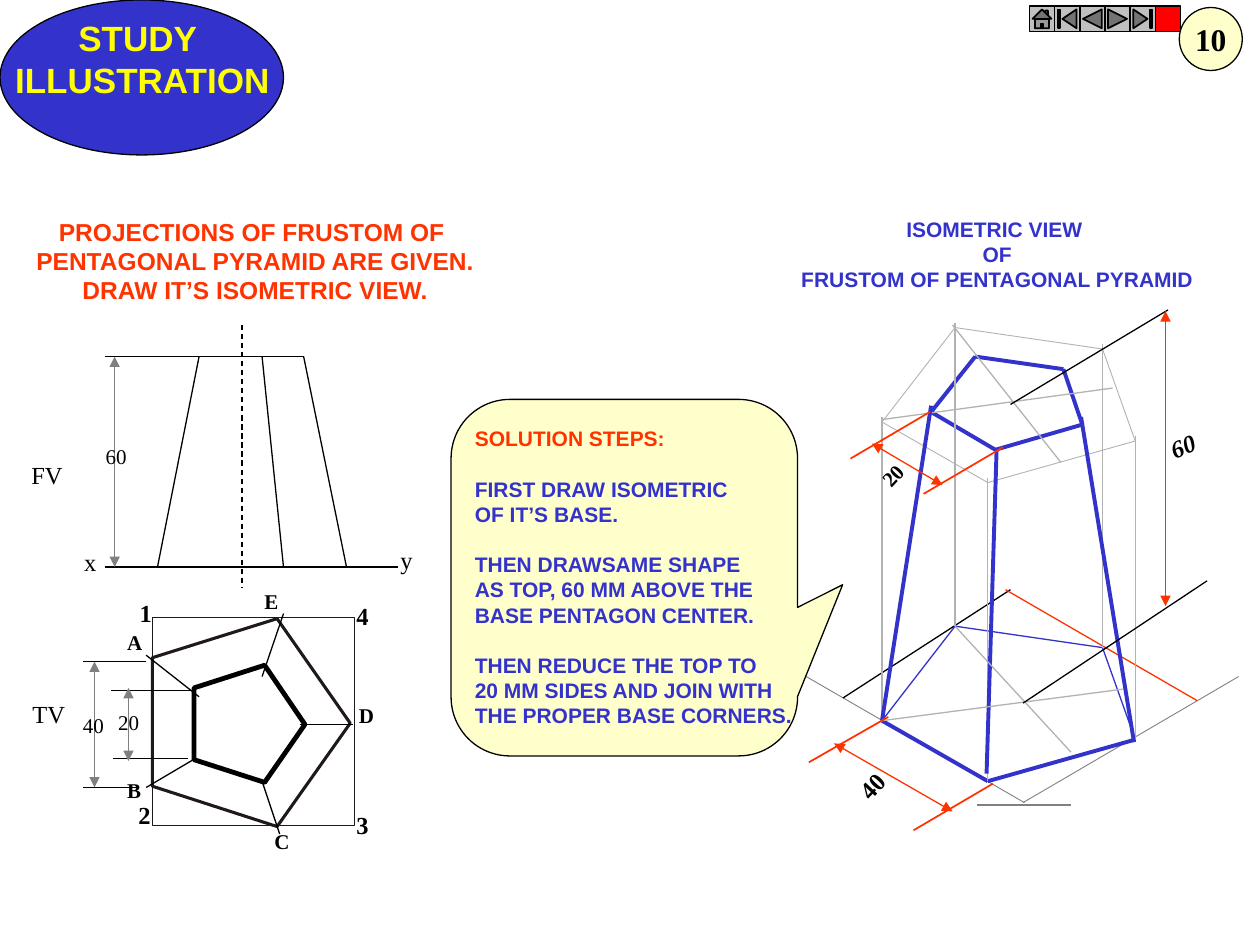
from lxml import etree
from pptx import Presentation
from pptx.dml.color import RGBColor
from pptx.enum.dml import MSO_LINE
from pptx.enum.shapes import MSO_CONNECTOR, MSO_SHAPE
from pptx.enum.text import MSO_ANCHOR, MSO_AUTO_SIZE, PP_ALIGN
from pptx.oxml.ns import qn
from pptx.util import Inches, Pt

BLUE = RGBColor(0x33, 0x33, 0xCC)
ORANGE = RGBColor(0xFF, 0x33, 0x00)
RED = RGBColor(0xFF, 0x00, 0x00)
YELLOW = RGBColor(0xFF, 0xFF, 0x00)
CREAM = RGBColor(0xFF, 0xFF, 0xCC)
BLACK = RGBColor(0x00, 0x00, 0x00)
INK = RGBColor(0x1F, 0x1A, 0x17)
GRAY = RGBColor(0x80, 0x80, 0x80)
SILVER = RGBColor(0xC0, 0xC0, 0xC0)
PALE = RGBColor(0xB2, 0xB2, 0xB2)
STRAIGHT = MSO_CONNECTOR.STRAIGHT
OVAL = MSO_SHAPE.OVAL
RECTANGLE = MSO_SHAPE.RECTANGLE
CALLOUT = MSO_SHAPE.ROUNDED_RECTANGULAR_CALLOUT
HOME = MSO_SHAPE.ACTION_BUTTON_HOME
BEGINNING = MSO_SHAPE.ACTION_BUTTON_BEGINNING
PREVIOUS = MSO_SHAPE.ACTION_BUTTON_BACK_OR_PREVIOUS
NEXT = MSO_SHAPE.ACTION_BUTTON_FORWARD_OR_NEXT
END = MSO_SHAPE.ACTION_BUTTON_END
BLANK = MSO_SHAPE.ACTION_BUTTON_CUSTOM
CENTER, LEFT = PP_ALIGN.CENTER, PP_ALIGN.LEFT
TOP, MIDDLE = MSO_ANCHOR.TOP, MSO_ANCHOR.MIDDLE
NO_FIT = MSO_AUTO_SIZE.NONE
DASH = MSO_LINE.DASH
SANS, SERIF = "Arial", "Times New Roman"

prs = Presentation()
prs.slide_width, prs.slide_height = Inches(10), Inches(7.5)
s = prs.slides.add_slide(prs.slide_layouts[5])


def add_line(x1, y1, x2, y2, color=BLACK, width=0.75, arrows=False):
    c = s.shapes.add_connector(STRAIGHT, Inches(x1), Inches(y1), Inches(x2), Inches(y2))
    c.line.color.rgb = color
    c.line.width = Pt(width)
    etree.SubElement(c._element.spPr, qn("a:effectLst"))
    if arrows:
        for end in ("a:headEnd", "a:tailEnd"):
            etree.SubElement(c.line._get_or_add_ln(), qn(end), type="triangle")
    return c


def write(sp, lines, size, font, color, bold=True, align=LEFT, wrap=False, anchor=TOP, gaps=()):
    tf = sp.text_frame
    tf.word_wrap, tf.auto_size, tf.vertical_anchor = wrap, NO_FIT, anchor
    tf.margin_left = tf.margin_right = Inches(0.1)
    tf.margin_top = tf.margin_bottom = Inches(0.05)
    for i, line in enumerate(lines):
        p = tf.paragraphs[0] if i == 0 else tf.add_paragraph()
        p.alignment = align
        p.line_spacing = Pt(1.2 * size)
        p.space_before = Pt(1.2 * size if i in gaps else 0)
        for j, part in enumerate(line.split("\n")):
            if j:
                p.add_line_break()
            r = p.add_run()
            r.text = part
            r.font.name, r.font.size, r.font.bold = font, Pt(size), bold
            r.font.color.rgb = color
    return tf


sp = s.shapes.add_textbox(Inches(6.25), Inches(1.67), Inches(3.33), Inches(0.7))
write(sp, ["ISOMETRIC VIEW ", "OF", "FRUSTOM OF PENTAGONAL PYRAMID"], 12, SANS, BLUE, align=CENTER)

for axis in [(8.12, 6.37, 9.83, 5.37), (8.13, 6.37, 6.33, 5.33)]:
    add_line(*axis, GRAY, 0.5)
add_line(7.75, 6.39, 8.5, 6.39, GRAY)
add_line(6.69, 5.54, 8.02, 4.68)
add_line(7.98, 4.68, 9.5, 5.56, ORANGE)

base = [(7, 5.72), (7.84, 6.2), (9.01, 5.87), (8.75, 5.14), (7.58, 4.97)]
top = [(7.39, 3.27), (7.9, 3.57), (8.59, 3.37), (8.44, 2.93), (7.74, 2.83)]
sides = list(zip(base, base[1:] + base[:1]))
for i, (a, b) in enumerate(sides):
    add_line(*a, *b, BLUE, 2.25 if i < 2 else 0.75)
for a, b in zip(top, top[1:] + top[:1]):
    add_line(*a, *b, BLUE, 2.25)
for x, y in base:
    add_line(x, y, x, y - 2.41, PALE)
for (x1, y1), (x2, y2) in sides:
    add_line(x1, y1 - 2.37, x2, y2 - 2.37, PALE, 0.5)
for diagonal in [(7, 3.33, 8.83, 3.08), (7.56, 2.58, 8.42, 3.67)]:
    add_line(*diagonal, PALE)
for edge in [(7.39, 3.22, 7, 5.72), (7.91, 3.56, 7.83, 6.14), (8.58, 3.31, 9, 5.89)]:
    add_line(*edge, BLUE, 2.25)
for diagonal in [(7, 5.72, 8.91, 5.47), (7.58, 4.97, 8.5, 5.97)]:
    add_line(*diagonal, PALE)

for extension in [(7.25, 6.59, 7.88, 6.22), (6.42, 6.05, 7.05, 5.69),
                  (7.33, 3.92, 7.96, 3.55), (6.75, 3.64, 7.38, 3.27)]:
    add_line(*extension, ORANGE, 1)
for extension in [(8.12, 5.58, 9.58, 4.61), (8.02, 3.21, 9.27, 2.46)]:
    add_line(*extension)
for x1, y1, x2, y2, width in [(6.62, 5.9, 7.56, 6.44, 0.75), (6.92, 3.52, 7.48, 3.85, 0.75),
                              (9.25, 2.47, 9.25, 4.81, 0.25)]:
    add_line(x1, y1, x2, y2, ORANGE, width, True)
for text, x, y, w, h, size, angle, italic in [
        ("40", 6.72, 6.07, 0.4, 0.33, 14, 313.1, None),
        ("20", 6.9, 3.62, 0.37, 0.3, 12, 313.1, None),
        ("60", 9.19, 3.37, 0.4, 0.33, 14, 338.4, True)]:
    sp = s.shapes.add_textbox(Inches(x), Inches(y), Inches(w), Inches(h))
    sp.rotation = angle
    write(sp, [text], size, SERIF, BLACK).paragraphs[0].runs[0].font.italic = italic

buttons = [(HOME, SILVER), (BEGINNING, SILVER), (PREVIOUS, SILVER), (NEXT, SILVER), (END, SILVER), (BLANK, RED)]
shapes = {}
for name, kind, x, y, w, h, fill, color, width in [
        ("title", OVAL, 0, 0, 2.25, 1.23, BLUE, BLACK, 0.75),
        ("frame", RECTANGLE, 1.21, 4.9, 1.6, 1.65, None, INK, 0.38),
        ("callout", CALLOUT, 3.58, 3.17, 2.75, 2.83, CREAM, BLACK, 0.75),
        ("number", OVAL, 9.36, 0.06, 0.5, 0.5, CREAM, BLACK, 0.75),
        *[(f"button {i}", kind, 8.17 + 0.2 * i, 0.05, 0.2, 0.2, fill, BLACK, 1)
          for i, (kind, fill) in enumerate(buttons)]]:
    sp = shapes[name] = s.shapes.add_shape(kind, Inches(x), Inches(y), Inches(w), Inches(h))
    sp.shadow.inherit = False
    if fill is None:
        sp.fill.background()
    else:
        sp.fill.solid()
        sp.fill.fore_color.rgb = fill
    sp.line.color.rgb = color
    sp.line.width = Pt(width)
for i, value in enumerate([0.63, 0.02, 0.17]):
    shapes["callout"].adjustments[i] = value
write(shapes["number"], ["10"], 18, SERIF, BLACK, align=CENTER, anchor=MIDDLE)

title = s.shapes.title
title.left, title.top, title.width, title.height = Inches(0.01), Inches(0.08), Inches(2.24), Inches(0.77)
write(title, ["STUDY ", "ILLUSTRATION"], 20, SANS, YELLOW, align=CENTER, wrap=True)
s.shapes._spTree.append(title._element)

outer = [(1.21, 5.22), (1.21, 6.24), (2.2, 6.56), (2.78, 5.74), (2.2, 4.91)]
inner = [(1.54, 5.46), (1.54, 6.03), (2.1, 6.21), (2.42, 5.75), (2.1, 5.28)]
for corners, color, width in [(outer, INK, 1.75), (inner, BLACK, 2.75)]:
    points = [(Inches(x), Inches(y)) for x, y in corners]
    builder = s.shapes.build_freeform(*points[0])
    builder.add_line_segments(points[1:], close=True)
    sp = builder.convert_to_shape()
    sp.shadow.inherit = False
    sp.fill.background()
    sp.line.color.rgb = color
    sp.line.width = Pt(width)

slant_edges = [(2.08, 6.2, 2.22, 6.62), (2.08, 5.37, 2.25, 4.87), (2.38, 5.75, 2.8, 5.75),
               (1.16, 6.25, 1.55, 6.02), (1.16, 5.2, 1.58, 5.53)]
front_view = [(0.83, 4.5, 3.16, 4.5), (1.58, 2.83, 2.41, 2.83), (1.25, 4.5, 2.75, 4.5),
              (1.58, 2.83, 1.25, 4.5), (2.41, 2.83, 2.75, 4.5), (2.25, 4.5, 2.08, 2.83)]
extensions = [(1.16, 5.25, 0.66, 5.25), (1.08, 6.25, 0.66, 6.25), (1.58, 2.83, 0.83, 2.83),
              (1.55, 5.48, 0.88, 5.48), (1.49, 6.02, 0.9, 6.02)]
for ends in slant_edges + front_view + extensions:
    add_line(*ends)
add_line(1.92, 2.58, 1.92, 4.67).line.dash_style = DASH
for x, y1, y2 in [(0.91, 2.83, 4.5), (1.02, 5.46, 6.04), (0.75, 5.25, 6.25)]:
    add_line(x, y1, x, y2, GRAY, 0.25, True)

for text, x, y, w, size, bold in [
        ("1", 1.01, 4.7, 0.3, 14, True), ("2", 1, 6.3, 0.3, 14, True),
        ("3", 2.73, 6.38, 0.3, 14, True), ("4", 2.73, 4.72, 0.3, 14, True),
        ("A", 0.91, 4.95, 0.32, 12, True), ("B", 0.91, 6.12, 0.31, 12, True),
        ("C", 2.08, 6.53, 0.32, 12, True), ("D", 2.75, 5.53, 0.32, 12, True),
        ("E", 2, 4.62, 0.31, 12, True), ("40", 0.56, 5.61, 0.37, 12, False),
        ("20", 0.84, 5.58, 0.37, 12, False), ("60", 0.74, 3.47, 0.37, 12, False),
        ("x", 0.57, 4.29, 0.3, 14, False), ("y", 3.08, 4.28, 0.3, 14, False),
        ("FV", 0.15, 3.6, 0.45, 14, False), ("TV", 0.16, 5.5, 0.46, 14, False)]:
    sp = s.shapes.add_textbox(Inches(x), Inches(y), Inches(w), Inches(0.33 if size == 14 else 0.3))
    write(sp, [text], size, SERIF, BLACK, bold)

sp = s.shapes.add_textbox(Inches(0.18), Inches(1.67), Inches(3.69), Inches(0.8))
write(sp, ["PROJECTIONS OF FRUSTOM OF ", "PENTAGONAL PYRAMID ARE GIVEN.", "DRAW IT’S ISOMETRIC VIEW."],
      14, SANS, ORANGE, align=CENTER)

steps = ["SOLUTION STEPS:", "FIRST DRAW ISOMETRIC", "OF IT’S BASE.", "THEN DRAWSAME SHAPE",
         "AS TOP, 60 MM ABOVE THE BASE PENTAGON CENTER.",
         "THEN REDUCE THE TOP TO\n20 MM SIDES AND JOIN WITH THE PROPER BASE CORNERS."]
sp = s.shapes.add_textbox(Inches(3.67), Inches(3.33), Inches(2.75), Inches(2.5))
tf = write(sp, steps, 12, SANS, BLUE, wrap=True, gaps=(1, 3, 5))
tf.paragraphs[0].runs[0].font.color.rgb = ORANGE

prs.save("out.pptx")
